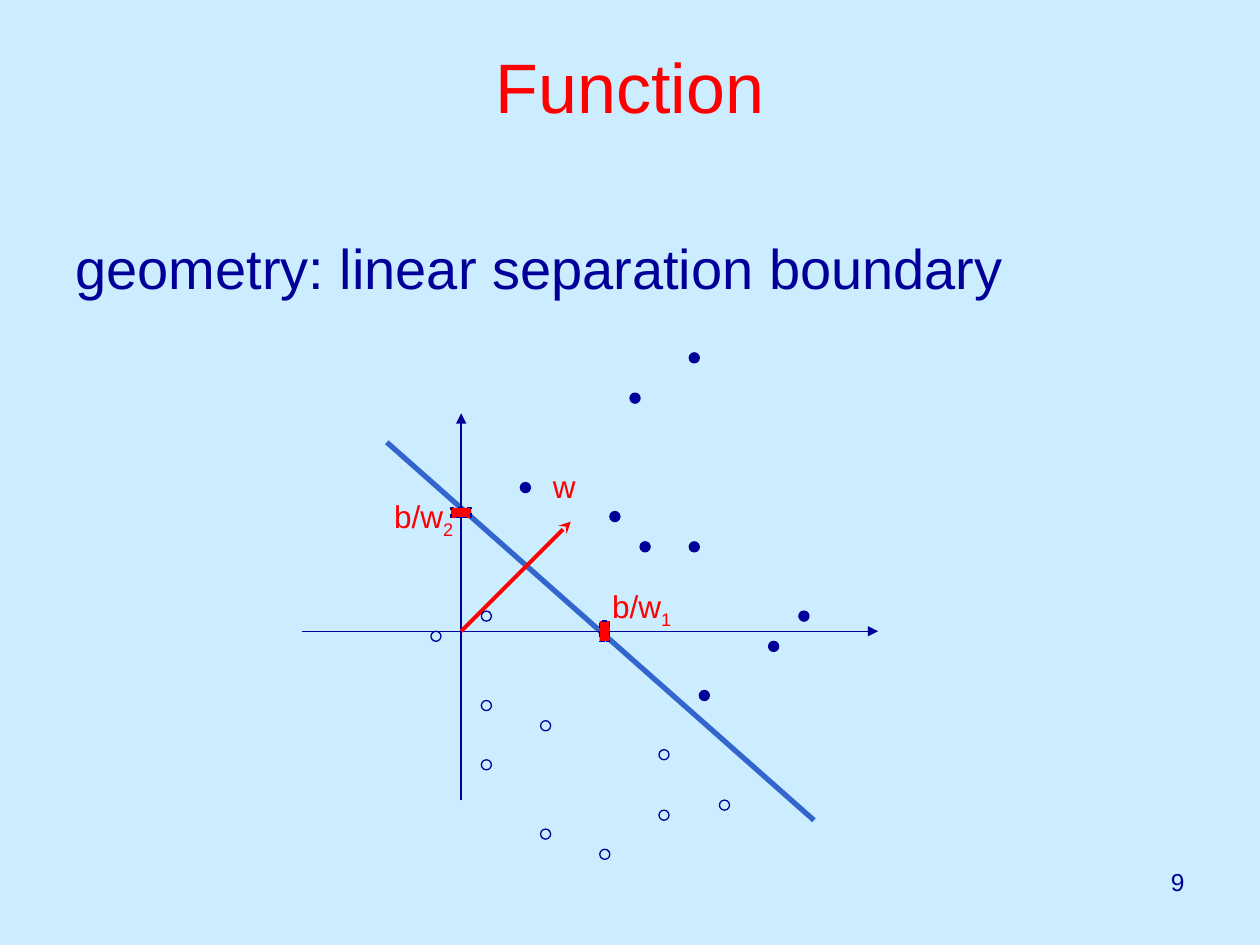
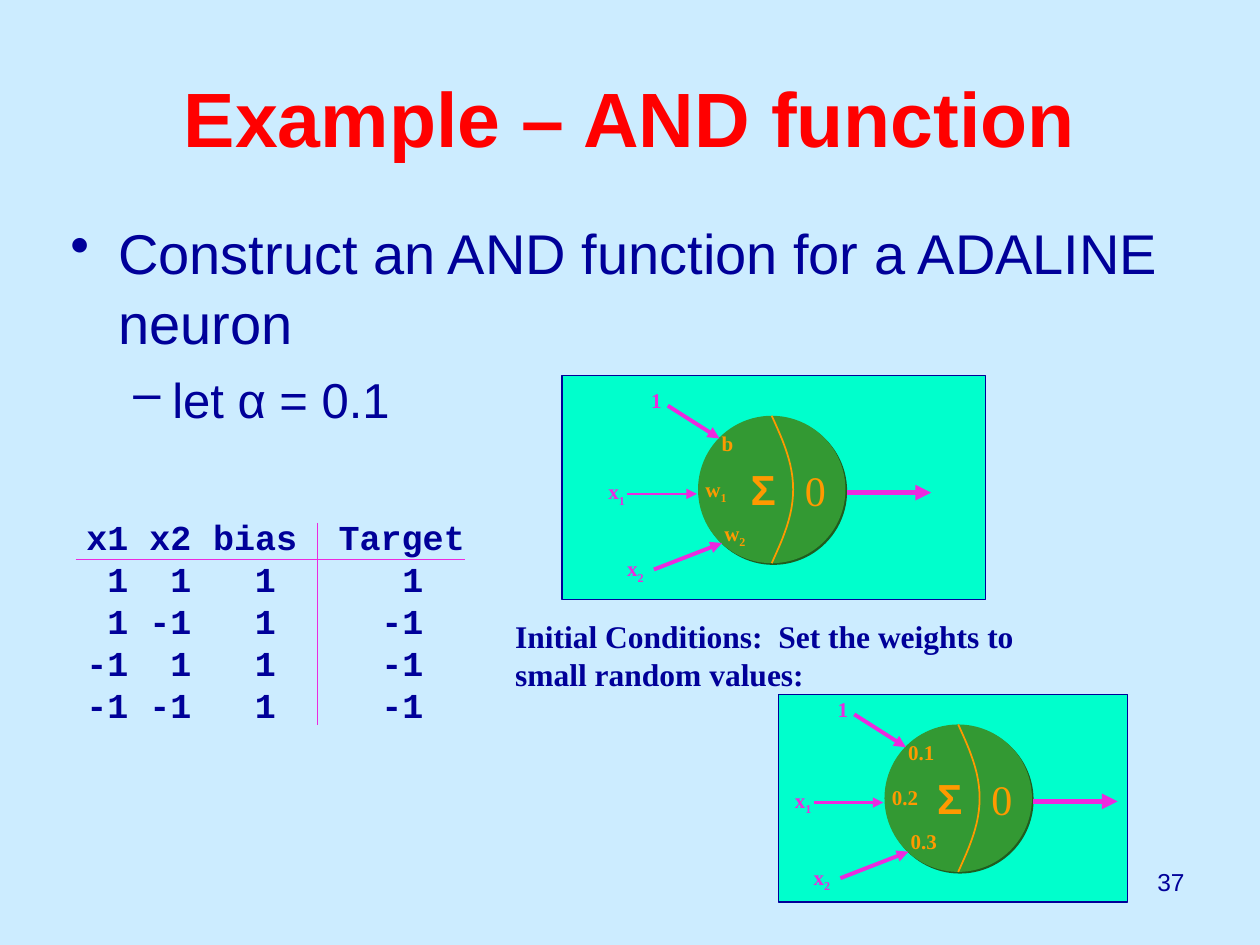
import math

from lxml import etree
from pptx import Presentation
from pptx.dml.color import RGBColor
from pptx.enum.dml import MSO_LINE
from pptx.enum.shapes import MSO_CONNECTOR, MSO_SHAPE
from pptx.enum.text import MSO_ANCHOR, PP_ALIGN
from pptx.oxml.ns import qn
from pptx.util import Inches, Pt

COLORS = {
    "background": "CCECFF",
    "title": "FF0000",
    "text": "000099",
    "boundary": "3366CC",
    "signal": "EC2ADE",
    "panel": "00FFCC",
    "soma": "339933",
    "soma_shadow": "1F5C1F",
    "weight": "FF9900",
}
SANS, SERIF, MONO = "Arial", "Times New Roman", "Courier New"
LEFT, CENTER, RIGHT = PP_ALIGN.LEFT, PP_ALIGN.CENTER, PP_ALIGN.RIGHT
TOP, MIDDLE = MSO_ANCHOR.TOP, MSO_ANCHOR.MIDDLE
STRAIGHT = MSO_CONNECTOR.STRAIGHT
OVAL, RECTANGLE = MSO_SHAPE.OVAL, MSO_SHAPE.RECTANGLE
DASH = MSO_LINE.DASH
LINE_HEIGHT = 1.2
BODY_SPACING = 1.04
SUBSCRIPT_DROP = 0.03
PLAIN_TABLE_STYLE = "{2D5ABB26-0587-4C30-8999-92F81FD0307C}"


def rgb(name):
    return RGBColor.from_string(COLORS[name])


def child(parent, tag, **attributes):
    return etree.SubElement(parent, qn(tag), attributes)


def write(paragraph, text, size, color, font=SANS, bold=False, align=LEFT):
    """Fill a paragraph; every part of the text after a "_" is a subscript."""
    paragraph.alignment = align
    paragraph.line_spacing = Pt(LINE_HEIGHT * size)
    paragraph.font.size = Pt(size)
    paragraph.font.name = font
    paragraph.font.bold = bold
    paragraph.font.color.rgb = rgb(color)
    for index, part in enumerate(text.split("_")):
        run = paragraph.add_run()
        run.text = part
        if index:
            run.font._element.set("baseline", "-25000")


def add_text(slide, box, text, size, color, wrap=True, anchor=TOP, **style):
    left, top, width, height = box
    if "_" in text:
        top += SUBSCRIPT_DROP
    frame = slide.shapes.add_textbox(
        *map(Inches, (left, top, width, height))).text_frame
    frame.word_wrap = wrap
    frame.vertical_anchor = anchor
    write(frame.paragraphs[0], text, size, color, **style)
    return frame


def add_bullet(paragraph, character, left, hanging):
    properties = paragraph._p.get_or_add_pPr()
    properties.set("marL", str(Inches(left)))
    properties.set("indent", str(-Inches(hanging)))
    bullet = etree.Element(qn("a:buChar"), char=character)
    properties.find(qn("a:defRPr")).addprevious(bullet)


def add_line(slide, start, end, color, width, head=None):
    line = slide.shapes.add_connector(STRAIGHT, *map(Inches, (*start, *end)))
    line.line.color.rgb = rgb(color)
    line.line.width = Pt(width)
    if head:
        child(line.line._get_or_add_ln(), "a:tailEnd", type=head)
    child(line._element.spPr, "a:effectLst")


def add_shape(slide, kind, box, fill=None, outline=None, dash=None):
    shape = slide.shapes.add_shape(kind, *map(Inches, box))
    shape.shadow.inherit = False
    if fill:
        shape.fill.solid()
        shape.fill.fore_color.rgb = rgb(fill)
    else:
        shape.fill.background()
    if outline:
        shape.line.color.rgb = rgb(outline)
        shape.line.width = Pt(0.75)
        shape.line.dash_style = dash
    else:
        shape.line.fill.background()
    return shape


def start_slide(presentation, title, title_top, title_size, number, bold=False):
    slide = presentation.slides.add_slide(presentation.slide_layouts[6])
    slide.background.fill.solid()
    slide.background.fill.fore_color.rgb = rgb("background")
    add_text(slide, (0.5, title_top, 9, 1.25), title, title_size, "title",
             anchor=MIDDLE, align=CENTER, bold=bold)
    add_text(slide, (7.17, 6.83, 2.33, 0.52), str(number), 14, "text", align=RIGHT)
    return slide


def add_body(slide, left, top, text):
    frame = add_text(slide, (left, top, 9, 4.95), text, 32, "text")
    frame.margin_top = Inches(0.08)
    frame.paragraphs[0].line_spacing = BODY_SPACING
    return frame


def add_separation_plot(slide, left, top):
    """Draw two point classes and their boundary around the origin at left, top."""
    def at(x, y):
        return left + x, top + y

    add_line(slide, at(-0.59, -1.5), at(2.8, 1.5), "boundary", 3)
    add_line(slide, at(0, 1.34), at(0, -1.73), "text", 0.75, "triangle")
    add_line(slide, at(-1.26, 0), at(3.31, 0), "text", 0.75, "triangle")
    add_line(slide, at(0, 0), at(0.87, -0.87), "title", 2.25, "stealth")

    labels = [("w", 0.63, -1.35, 0.63), ("b/w_1", 1.1, -0.39, 0.79),
              ("b/w_2", -0.63, -1.1, 0.71)]
    for label, x, y, width in labels:
        add_text(slide, (*at(x, y), width, 0.44), label, 18, "title")

    dot = 0.08
    positive = [(2.68, -0.16), (2.44, 0.08), (1.81, -0.71), (1.89, 0.47), (1.42, -0.71),
                (1.34, -1.89), (0.47, -1.18), (1.18, -0.95), (1.81, -2.21)]
    negative = [(2.05, 1.34), (1.57, 1.42), (1.1, 1.73), (0.63, 1.57), (0.16, 0.55),
                (1.57, 0.94), (0.63, 0.71), (0.16, -0.16), (0.16, 1.02), (-0.24, 0)]
    for points, fill in ((positive, "text"), (negative, None)):
        for x, y in points:
            add_shape(slide, OVAL, (*at(x, y), dot, dot), fill, "text")

    for x, y, width, height in ((1.14, 0, 0.08, 0.16), (0, -0.94, 0.16, 0.08)):
        corner = at(x - width / 2, y - height / 2)
        add_shape(slide, RECTANGLE, (*corner, width, height), "title", "text", DASH)


def add_truth_table(slide, left, top):
    rows = [("x1", "x2", "bias", "Target"), (1, 1, 1, 1), (1, -1, 1, -1),
            (-1, 1, 1, -1), (-1, -1, 1, -1)]
    widths = (0.42, 0.5, 1, 1.17)
    header_margins, value_margins = (0, 0, 0.16, 0), (0, 0, 0.33, 0.33)
    width, height = sum(widths), 1.67
    table = slide.shapes.add_table(len(rows), len(widths), *map(
        Inches, (left, top, width, height))).table
    table.first_row = table.horz_banding = False
    table._tbl.tblPr.find(qn("a:tableStyleId")).text = PLAIN_TABLE_STYLE
    for column, column_width in zip(table.columns, widths):
        column.width = Inches(column_width)
    for row_index, values in enumerate(rows):
        table.rows[row_index].height = Inches(height / len(rows))
        margins = value_margins if row_index else header_margins
        for column_index, value in enumerate(values):
            cell = table.cell(row_index, column_index)
            cell.margin_left = cell.margin_top = cell.margin_bottom = 0
            cell.margin_right = Inches(margins[column_index])
            cell.fill.background()
            write(cell.text_frame.paragraphs[0], str(value), 20, "text",
                  font=MONO, bold=True, align=RIGHT)

    header_bottom, target_left = top + 0.32, left + sum(widths[:3])
    add_line(slide, (left, header_bottom), (left + width, header_bottom), "signal", 1)
    add_line(slide, (target_left, top + 0.03), (target_left, top + 1.63), "signal", 1)


def add_soma(slide, left, top, diameter):
    """Draw the neuron body with its shadow and the arc that splits it."""
    soma = add_shape(slide, OVAL, (left, top, diameter, diameter), "soma")
    shadow = child(soma._element.spPr.find(qn("a:effectLst")), "a:outerShdw",
                   blurRad="0", dist=str(Pt(1.4)), dir=str(45 * 60000))
    child(shadow, "a:srgbClr", val=COLORS["soma_shadow"])

    steps, bulge = 24, 0.17
    points = [(Inches(left + diameter / 2 + bulge * math.sin(math.pi * step / steps)),
               Inches(top + diameter * step / steps)) for step in range(steps + 1)]
    builder = slide.shapes.build_freeform(*points[0])
    builder.add_line_segments(points[1:], close=False)
    arc = builder.convert_to_shape()
    arc.shadow.inherit = False
    arc.fill.background()
    arc.line.color.rgb = rgb("weight")
    arc.line.width = Pt(1)


def add_neuron(slide, panel, soma_offset, weights):
    """Draw a neuron in a panel box; weights are those of the bias, x1 and x2."""
    add_shape(slide, RECTANGLE, panel, "panel", "text")
    left, top = panel[0] + soma_offset[0], panel[1] + soma_offset[1]
    add_soma(slide, left, top, 1.17)

    def label(x, y, text, color, size=12, font=SERIF, bold=True):
        add_text(slide, (left + x, top + y, 0.6, 0.33), text, size, color,
                 wrap=False, font=font, bold=bold)

    label(0.75, 0.34, "0", "weight", 24, bold=False)
    label(0.32, 0.33, "Σ", "weight", 24, font=SANS)
    for (x, y), weight in zip(((0.09, 0.07), (-0.04, 0.43), (0.11, 0.78)), weights):
        label(x, y, weight, "weight")
    for x, y, name in ((-0.47, -0.27, "1"), (-0.81, 0.45, "x_1"), (-0.66, 1.06, "x_2")):
        label(x, y, name, "signal")

    arrows = [((1.18, 0.61), (1.85, 0.61), 3), ((-0.24, -0.08), (0.17, 0.18), 2.25),
              ((-0.35, 1.22), (0.19, 1.01), 2.25), ((-0.56, 0.62), (-0.01, 0.62), 1.5)]
    for start, end, width in arrows:
        add_line(slide, (left + start[0], top + start[1]),
                 (left + end[0], top + end[1]), "signal", width, "triangle")


def build_function_slide(presentation):
    slide = start_slide(presentation, "Function", 0.05, 40, 9)
    add_body(slide, 0.5, 1.75, "geometry: linear separation boundary")
    add_separation_plot(slide, 3.66, 5.01)


def build_example_slide(presentation):
    slide = start_slide(presentation, "Example – AND function", 0.3, 44, 37, bold=True)
    body = add_body(slide, 0.46, 1.63, "Construct an AND function for a ADALINE neuron")
    add_bullet(body.paragraphs[0], "•", 0.38, 0.38)
    detail = body.add_paragraph()
    write(detail, "let α = 0.1", 28, "text")
    detail.level = 1
    detail.line_spacing = BODY_SPACING
    detail.space_before = Pt(7)
    add_bullet(detail, "–", 0.81, 0.31)

    add_truth_table(slide, 0.6, 4.12)
    add_neuron(slide, (4.46, 2.98, 3.36, 1.78), (1.08, 0.32), ("b", "w_1", "w_2"))
    add_text(slide, (3.99, 4.85, 4.61, 0.7),
             "Initial Conditions:  Set the weights to small random values:",
             18, "text", font=SERIF, bold=True)
    add_neuron(slide, (6.18, 5.51, 2.77, 1.65), (0.84, 0.24), ("0.1", "0.2", "0.3"))


def main():
    presentation = Presentation()
    presentation.slide_width = Inches(10)
    presentation.slide_height = Inches(7.5)
    build_function_slide(presentation)
    build_example_slide(presentation)
    presentation.save("out.pptx")


if __name__ == "__main__":
    main()
